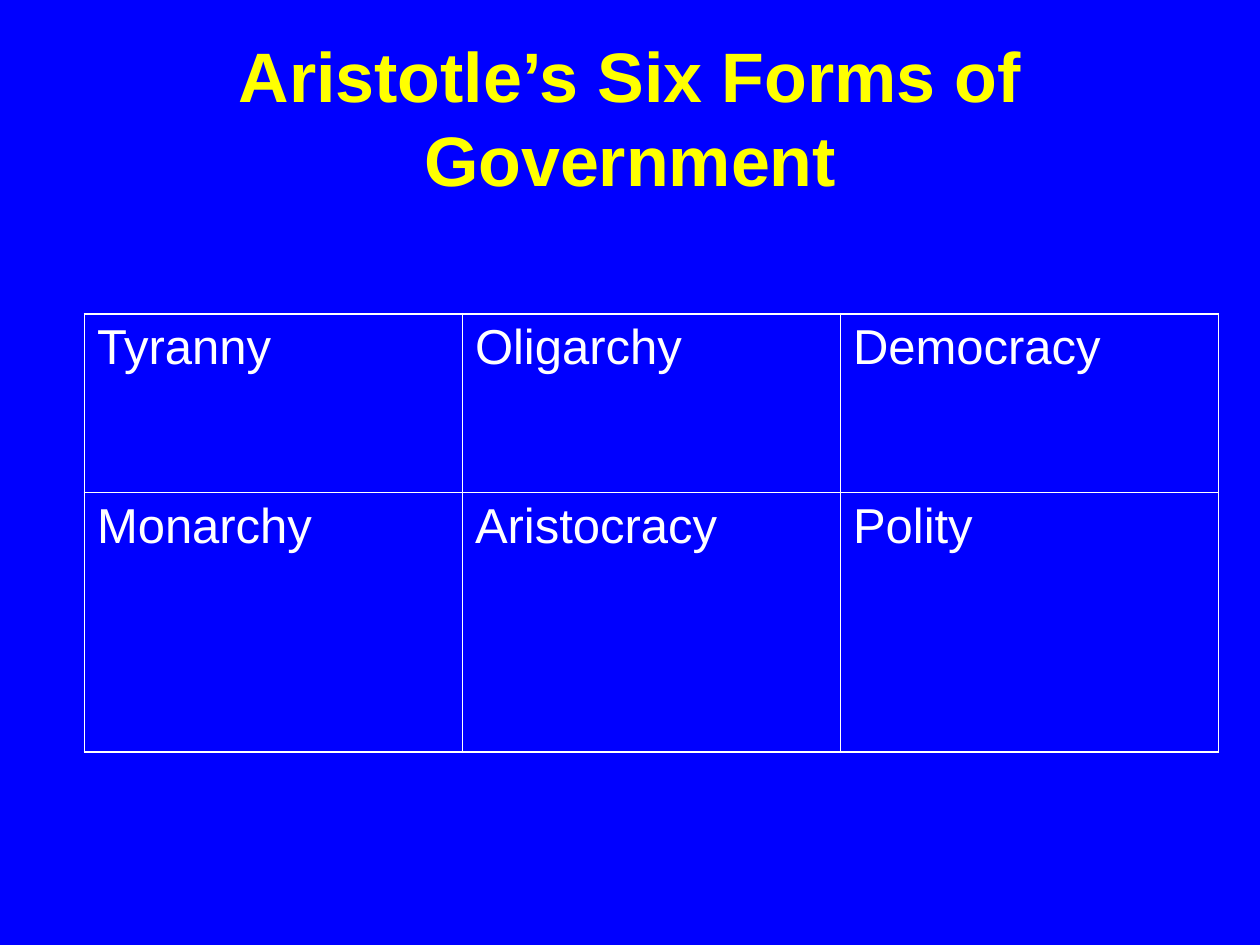
from dataclasses import dataclass

from lxml import etree
from pptx import Presentation
from pptx.dml.color import RGBColor
from pptx.enum import text as t
from pptx.oxml import ns
from pptx.util import Inches, Pt


@dataclass(frozen=True)
class Theme:
    font: str = "Arial"
    back: str = "0000FF"
    head: str = "FFFF00"
    ink: str = "FFFFFF"
    head_size: int = 40
    cell_size: int = 28
    outer: float = 1.08
    inner: float = 0.45


THEME = Theme()
FORMS = [
    ["Tyranny", "Oligarchy", "Democracy"],
    ["Monarchy", "Aristocracy", "Polity"],
]
HEIGHTS = [1.42, 2.06]
WIDTH = 3


def style(para, size, color, bold=False):
    font = para.font
    font.name, font.size, font.bold = THEME.font, Pt(size), bold
    font.color.rgb = RGBColor.from_string(color)


def add_title(slide, words):
    box = slide.shapes.add_textbox(Inches(0.5), Inches(0.3), Inches(9), Inches(1.25))
    frame = box.text_frame
    frame.word_wrap = True
    frame.vertical_anchor = t.MSO_ANCHOR.MIDDLE
    para = frame.paragraphs[0]
    para.text = words
    para.alignment = t.PP_ALIGN.CENTER
    style(para, THEME.head_size, THEME.head, bold=True)


def add_edge(cell, side, width):
    props = cell._tc.get_or_add_tcPr()
    line = etree.SubElement(props, ns.qn(f"a:ln{side}"), w=str(Pt(width)))
    fill = etree.SubElement(line, ns.qn("a:solidFill"))
    etree.SubElement(fill, ns.qn("a:srgbClr"), val=THEME.ink)


def fill_cell(cell, words, edges):
    # Borders come before the fill in the cell's XML
    for side, outer in edges.items():
        add_edge(cell, side, THEME.outer if outer else THEME.inner)
    cell.fill.background()
    para = cell.text_frame.paragraphs[0]
    para.text = words
    style(para, THEME.cell_size, THEME.ink)


def add_grid(slide, forms):
    rows, cols = len(forms), len(forms[0])
    frame = slide.shapes.add_table(
        rows, cols, Inches(0.67), Inches(2.49),
        Inches(WIDTH * cols), Inches(sum(HEIGHTS)))
    table = frame.table
    table.first_row = table.horz_banding = False
    for col in table.columns:
        col.width = Inches(WIDTH)
    for r, names in enumerate(forms):
        table.rows[r].height = Inches(HEIGHTS[r])
        for c, name in enumerate(names):
            edges = {"L": c == 0, "R": c == cols - 1,
                     "T": r == 0, "B": r == rows - 1}
            fill_cell(table.cell(r, c), name, edges)


def main():
    deck = Presentation()
    deck.slide_width, deck.slide_height = Inches(10), Inches(7.5)
    slide = deck.slides.add_slide(deck.slide_layouts[6])

    # Background
    fill = slide.background.fill
    fill.solid()
    fill.fore_color.rgb = RGBColor.from_string(THEME.back)

    # Title and table of forms
    add_title(slide, "Aristotle’s Six Forms of Government")
    add_grid(slide, FORMS)
    deck.save("out.pptx")


if __name__ == "__main__":
    main()
